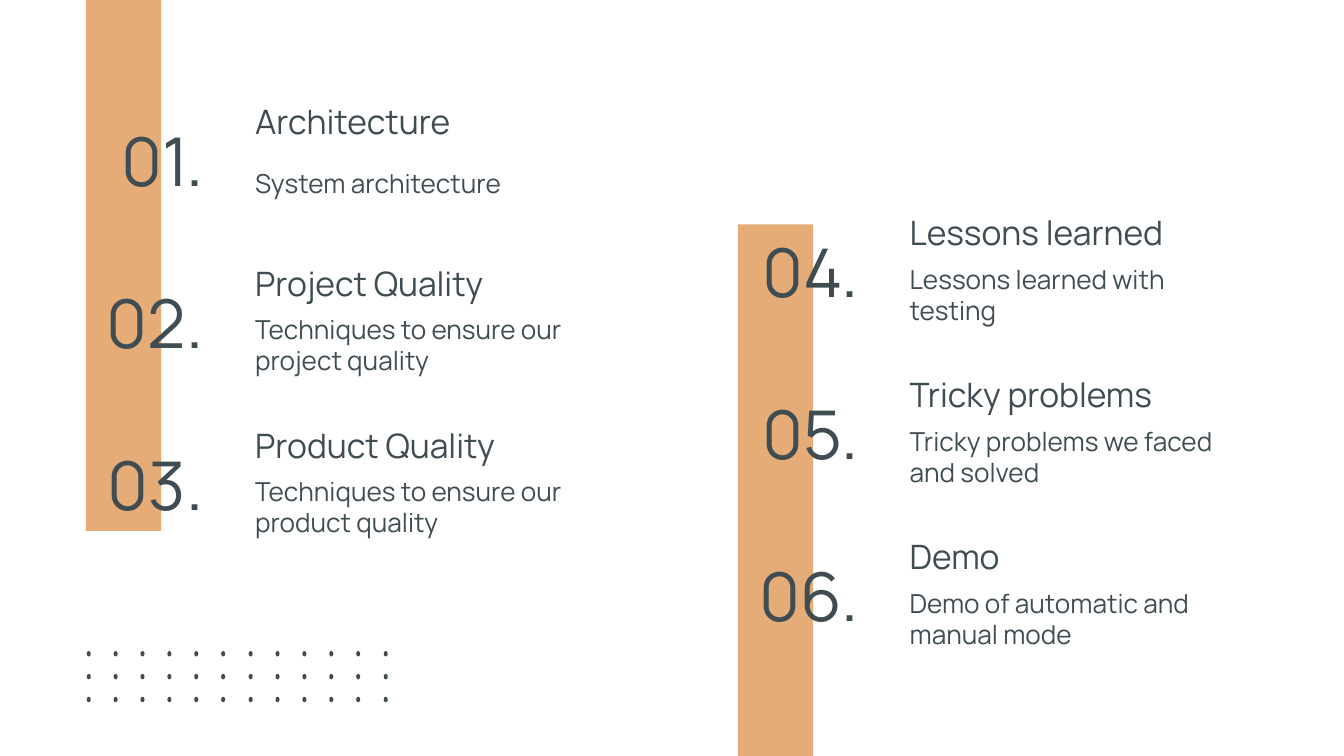
from pptx import Presentation, util as u
from pptx.dml.color import RGBColor
from pptx.enum import shapes, text

PX = 4572  # EMU per px, 200 px to the inch
HUES = {"bar": "E5AC77", "ink": "3F4D53"}
FONT = "Manrope"
PITCH = 241

deck = Presentation()
deck.slide_width, deck.slide_height = 2000 * PX, 1125 * PX
slide = deck.slides.add_slide(deck.slide_layouts[6])


def add_form(kind, x, y, w, h, hue):
    form = slide.shapes.add_shape(kind, x * PX, y * PX, w * PX, h * PX)
    form.shadow.inherit = False
    form.fill.solid()
    form.fill.fore_color.rgb = RGBColor.from_string(HUES[hue])
    form.line.fill.background()
    return form


def add_text(words, x, y, w, h, size, anchor, align=text.PP_ALIGN.LEFT):
    box = slide.shapes.add_textbox(x * PX, y * PX, w * PX, h * PX)
    frame = box.text_frame
    frame.word_wrap = True
    frame.vertical_anchor = anchor
    frame.margin_left = frame.margin_right = 20 * PX
    frame.margin_top = frame.margin_bottom = 20 * PX
    frame.text = words
    para = frame.paragraphs[0]
    para.alignment = align
    font = para.runs[0].font
    font.name = FONT
    font.size = u.Pt(size)
    font.color.rgb = RGBColor.from_string(HUES["ink"])


# Upright bars behind the numbers
for x, y, h in [(128, 0, 790), (1098, 334, 812)]:
    add_form(shapes.MSO_SHAPE.RECTANGLE, x, y, 112, h, "bar")

# Agenda columns: number left, text left, top, items
columns = [
    (34, 360, 178, [
        ("Architecture", "System architecture"),
        ("Project Quality", "Techniques to ensure our project quality"),
        ("Product Quality", "Techniques to ensure our product quality"),
    ]),
    (1010, 1334, 344, [
        ("Lessons learned", "Lessons learned with testing"),
        ("Tricky problems", "Tricky problems we faced and solved"),
        ("Demo", "Demo of automatic and manual mode"),
    ]),
]
mid, low = text.MSO_ANCHOR.MIDDLE, text.MSO_ANCHOR.BOTTOM
count = 0
for left, start, top, items in columns:
    for row, (head, body) in enumerate(items):
        count += 1
        y = top + row * PITCH
        add_text(f"{count:02}.", left, y, 288, 118, 36, mid, text.PP_ALIGN.RIGHT)
        add_text(head, start, y - 38, 614, 90, 18, low)
        add_text(body, start, y + 35, 540, 118, 14, mid)

# Dot grid
for row in range(3):
    for col in range(12):
        x = 128 + col * 442 // 11
        dot = add_form(shapes.MSO_SHAPE.OVAL, x, 970 + row * 34, 8, 6, "ink")
        dot.rotation = 90

deck.save("out.pptx")
